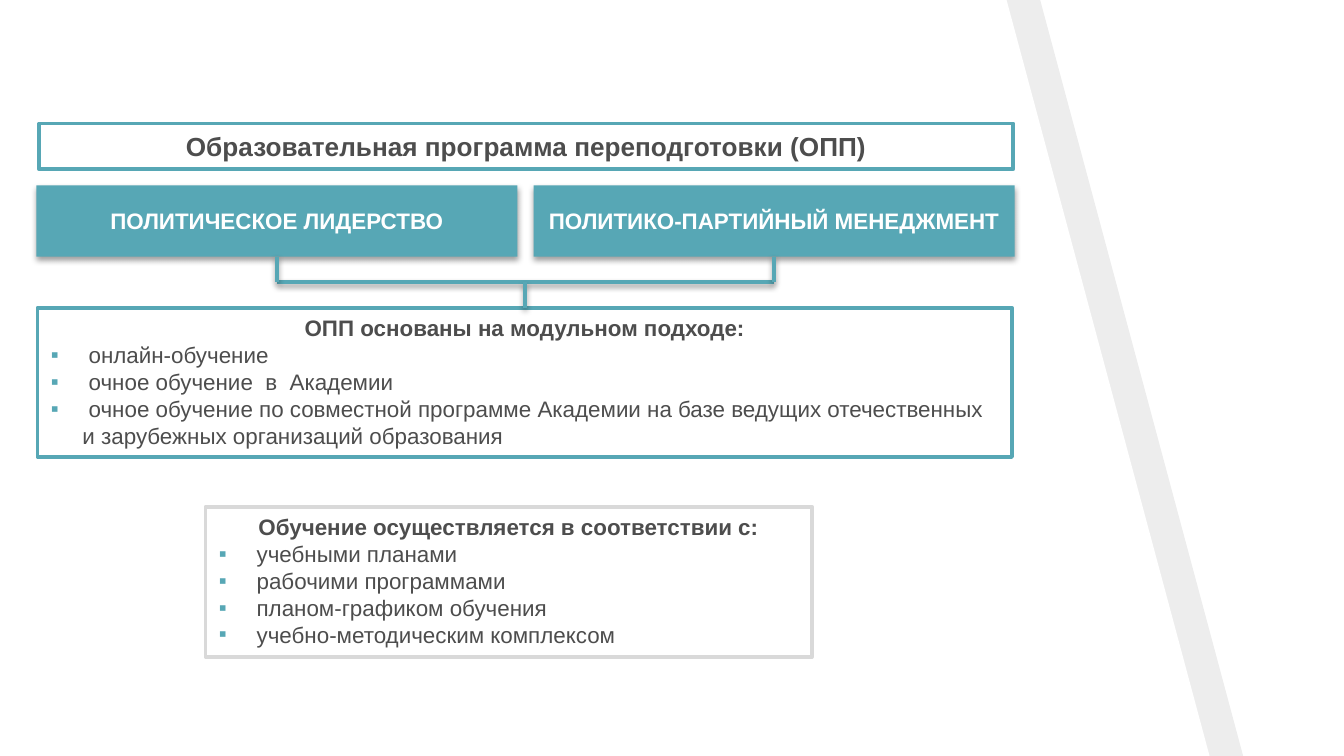
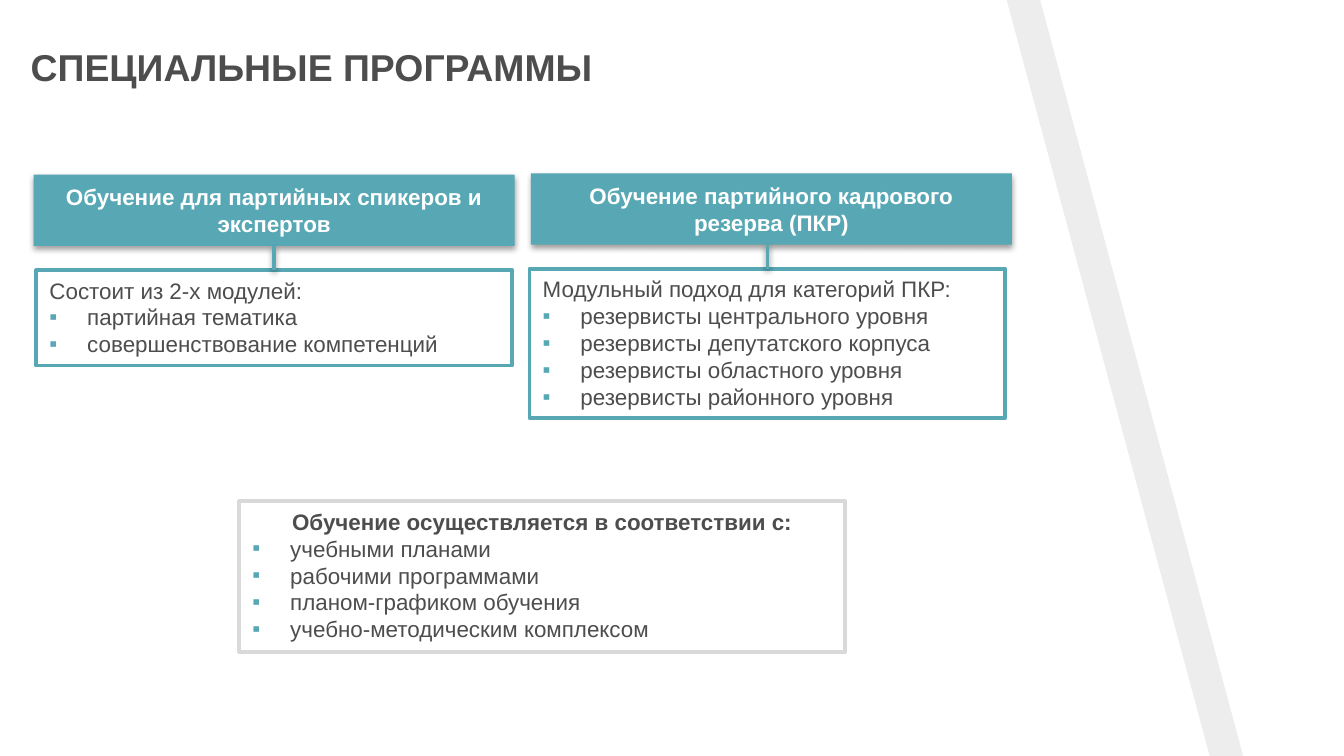
from lxml import etree
from pptx import Presentation
from pptx.dml.color import RGBColor
from pptx.enum.shapes import MSO_CONNECTOR, MSO_SHAPE
from pptx.enum.text import MSO_ANCHOR, PP_ALIGN
from pptx.oxml.ns import qn
from pptx.util import Inches, Pt

RECT, STRAIGHT = MSO_SHAPE.RECTANGLE, MSO_CONNECTOR.STRAIGHT
TOP, MIDDLE = MSO_ANCHOR.TOP, MSO_ANCHOR.MIDDLE
LEFT, CENTER, JUSTIFY = PP_ALIGN.LEFT, PP_ALIGN.CENTER, PP_ALIGN.JUSTIFY
SIDE_TOP, SIDE_BOTTOM = 0, 2

FONT = "Arial"
COLORS = {"teal": "57A7B5", "text": "4D4D4D", "white": "FFFFFF",
          "grey": "D9D9D9", "black": "000000"}
W, H = 10, 5.625
HEADER_W, HEADER_H, HEADER_STEP = 3.58, 0.53, 3.7
DETAIL_W = 3.54
WIDE_W = 7.25
BASIS_W, BASIS_H = 4.51, 1.12
BULLET_INDENT = 0.235

PROGRAM = "Образовательная программа переподготовки (ОПП)"
TRACKS = ["ПОЛИТИЧЕСКОЕ ЛИДЕРСТВО", "ПОЛИТИКО-ПАРТИЙНЫЙ МЕНЕДЖМЕНТ"]
MODULES = ("ОПП основаны на модульном подходе:", [
    " онлайн-обучение",
    " очное обучение  в  Академии",
    " очное обучение по совместной программе Академии на базе ведущих "
    "отечественных и зарубежных организаций образования",
])
BASIS = ("Обучение осуществляется в соответствии с:", [
    " учебными планами",
    " рабочими программами",
    " планом-графиком обучения",
    " учебно-методическим комплексом",
])
SPECIAL_TITLE = "СПЕЦИАЛЬНЫЕ ПРОГРАММЫ"
# header, header top, detail left, top and height, alignment, lead line, bullets
SPECIAL = [
    ("Обучение для партийных спикеров и экспертов", 1.3, (0.27, 2.01, 0.71), LEFT,
     "Состоит из 2-х модулей:",
     [" партийная тематика", " совершенствование компетенций"]),
    ("Обучение партийного кадрового резерва (ПКР)", 1.29, (3.94, 2, 1.11), JUSTIFY,
     "Модульный подход для категорий ПКР:",
     [" резервисты центрального уровня", " резервисты депутатского корпуса",
      " резервисты областного уровня", " резервисты районного уровня"]),
]


def rgb(name):
    return RGBColor.from_string(COLORS[name])


def add_node(parent, tag, **attrs):
    return etree.SubElement(parent, qn(tag), attrs)


def add_shadow(sp):
    """Soft shadow straight below; call after fill and line are set."""
    effects = add_node(sp._element.spPr, "a:effectLst")
    shadow = add_node(effects, "a:outerShdw", blurRad=str(Pt(3.1)), dist=str(Pt(1.6)),
                      dir="5400000", algn="t", rotWithShape="0")
    color = add_node(shadow, "a:srgbClr", val=COLORS["black"])
    add_node(color, "a:alpha", val="38000")


def add_paragraph(tf, text, size=12, color="text", bold=False, align=LEFT, bullet=False):
    first = tf.paragraphs[0]
    p = tf.add_paragraph() if first.runs else first
    p.alignment = align
    r = p.add_run()
    r.text = text
    r.font.name, r.font.size, r.font.bold = FONT, Pt(size), bold
    r.font.color.rgb = rgb(color)
    if bullet:
        ppr = p._p.get_or_add_pPr()
        indent = Inches(BULLET_INDENT)
        ppr.set("marL", str(indent))
        ppr.set("indent", str(-indent))
        add_node(add_node(ppr, "a:buClr"), "a:srgbClr", val=COLORS["teal"])
        add_node(ppr, "a:buFont", typeface=FONT)
        add_node(ppr, "a:buChar", char="▪")


def add_box(s, x, y, w, h, fill="white", line=None, anchor=TOP):
    sp = s.shapes.add_shape(RECT, Inches(x), Inches(y), Inches(w), Inches(h))
    sp.fill.solid()
    sp.fill.fore_color.rgb = rgb(fill)
    if line:
        sp.line.color.rgb = rgb(line)
        sp.line.width = Pt(2)
        sp.shadow.inherit = False
    else:
        sp.line.fill.background()
        add_shadow(sp)
    sp.text_frame.word_wrap = True
    sp.text_frame.vertical_anchor = anchor
    return sp


def add_header(s, x, y, text):
    sp = add_box(s, x, y, HEADER_W, HEADER_H, fill="teal", anchor=MIDDLE)
    add_paragraph(sp.text_frame, text, color="white", bold=True, align=CENTER)
    return sp


def add_list(s, x, y, w, h, lead, bullets, line="teal", bold=True, lead_align=CENTER,
             align=LEFT):
    """Outlined box with a lead line above a bulleted list."""
    sp = add_box(s, x, y, w, h, line=line)
    add_paragraph(sp.text_frame, lead, bold=bold, align=lead_align)
    for text in bullets:
        add_paragraph(sp.text_frame, text, align=align, bullet=True)
    return sp


def add_basis(s, x, y):
    add_list(s, x, y, BASIS_W, BASIS_H, *BASIS, line="grey")


def add_link(s, x1, y1, x2, y2, above=None, below=None):
    """Line in EMU, joined to the box above and the box below where given."""
    c = s.shapes.add_connector(STRAIGHT, x1, y1, x2, y2)
    if above:
        c.begin_connect(above, SIDE_BOTTOM)
    if below:
        c.end_connect(below, SIDE_TOP)
    c.line.color.rgb = rgb("teal")
    c.line.width = Pt(2)
    add_shadow(c)


def middle(sp):
    return sp.left + sp.width // 2


def bottom(sp):
    return sp.top + sp.height


def add_slanted_panel(s, left, top_right, bottom_right, color, alpha=None):
    corners = [(left, 0), (left, H), (bottom_right, H), (top_right, 0)]
    points = [(Inches(x), Inches(y)) for x, y in corners]
    builder = s.shapes.build_freeform(*points[0])
    builder.add_line_segments(points[1:])
    sp = builder.convert_to_shape()
    sp.fill.solid()
    sp.fill.fore_color.rgb = rgb(color)
    if alpha:
        clr = sp._element.spPr.find(qn("a:solidFill")).find(qn("a:srgbClr"))
        add_node(clr, "a:alpha", val=str(alpha * 1000))
    sp.line.fill.background()
    sp.shadow.inherit = False


def new_slide(prs):
    """Blank slide with the slanted grey band."""
    s = prs.slides.add_slide(prs.slide_layouts[6])
    add_slanted_panel(s, 0.25, 7.74, 9.25, "black", alpha=7)
    add_slanted_panel(s, 0, 7.49, 9, "white")
    return s


def add_title(s, text):
    tf = s.shapes.add_textbox(Inches(0.13), Inches(0.33), Inches(7.65), Inches(0.73)).text_frame
    tf.word_wrap = True
    tf.margin_top = 0
    add_paragraph(tf, text, size=20, bold=True)


def build_retraining(prs):
    s = new_slide(prs)
    headers = [add_header(s, 0.27 + i * HEADER_STEP, 1.38, text)
               for i, text in enumerate(TRACKS)]
    modules = add_list(s, 0.28, 2.29, WIDE_W, 1.11, *MODULES)

    bus_y = Inches(2.1)
    left, right = [middle(sp) for sp in headers]
    add_link(s, left, bus_y, right, bus_y)
    add_link(s, middle(modules), bus_y, middle(modules), modules.top, below=modules)
    for sp in headers:
        add_link(s, middle(sp), bottom(sp), middle(sp), bus_y, above=sp)

    add_basis(s, 1.53, 3.77)
    program = add_box(s, 0.29, 0.92, WIDE_W, 0.34, line="teal")
    add_paragraph(program.text_frame, PROGRAM, size=14, bold=True, align=CENTER)


def build_special(prs):
    s = new_slide(prs)
    add_title(s, SPECIAL_TITLE)
    for i, (name, y, (x, detail_y, detail_h), align, lead, bullets) in enumerate(SPECIAL):
        header = add_header(s, 0.25 + i * HEADER_STEP, y, name)
        detail = add_list(s, x, detail_y, DETAIL_W, detail_h, lead, bullets,
                          bold=False, lead_align=align, align=align)
        aligned = abs(middle(header) - middle(detail)) < Inches(0.01)
        add_link(s, middle(detail), bottom(header), middle(detail), detail.top,
                 above=header if aligned else None, below=detail)
    add_basis(s, 1.78, 3.73)


def main():
    prs = Presentation()
    prs.slide_width, prs.slide_height = Inches(W), Inches(H)
    build_retraining(prs)
    build_special(prs)
    prs.save("out.pptx")


if __name__ == "__main__":
    main()
